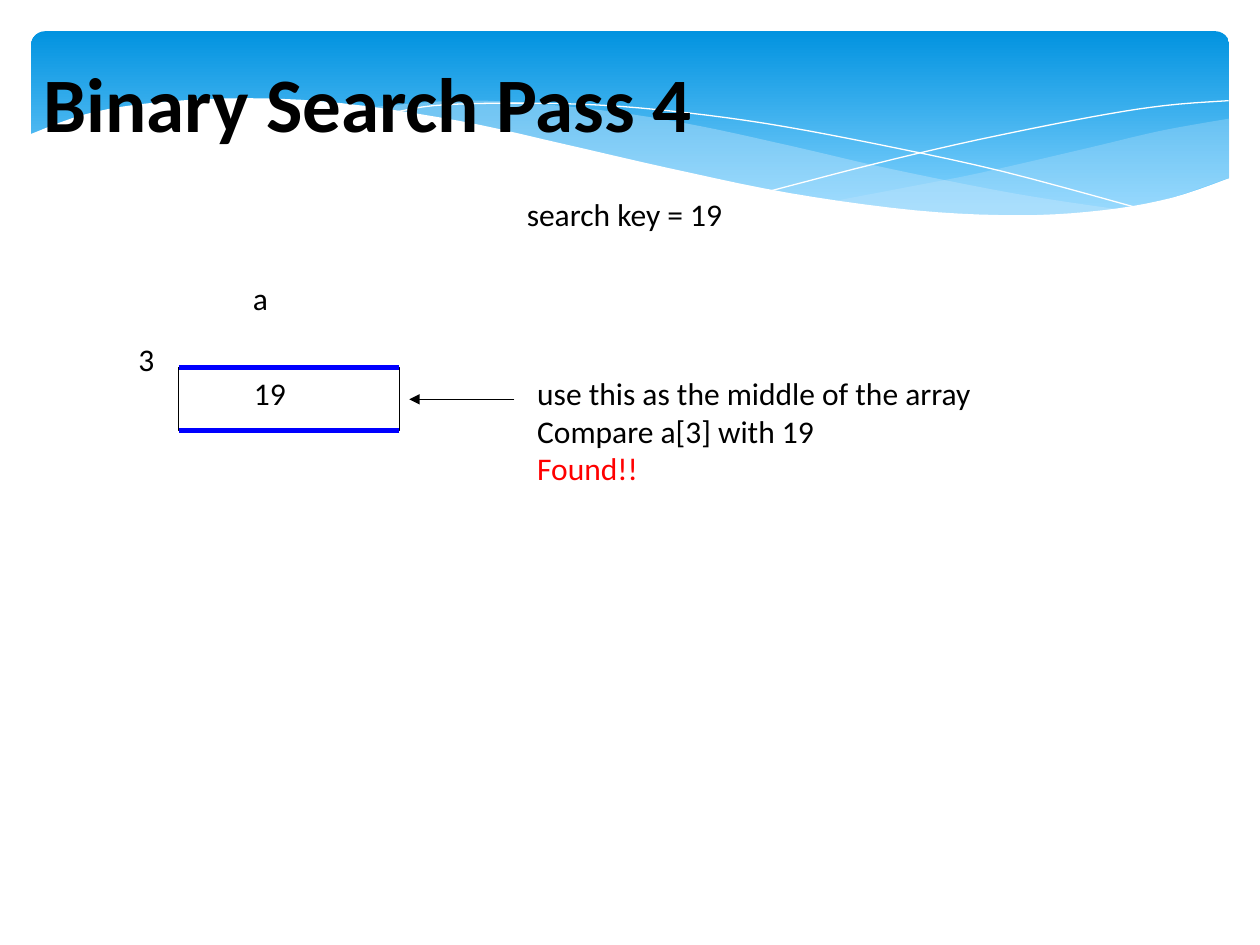
from lxml.etree import SubElement
from pptx import Presentation
from pptx.dml.color import RGBColor
from pptx.enum.shapes import MSO_CONNECTOR as CONN, MSO_SHAPE as SHAPE
from pptx.enum.text import MSO_ANCHOR as ANCHOR, PP_ALIGN as ALIGN
from pptx.oxml.ns import qn
from pptx.util import Cm, Pt

BLACK, WHITE, BLUE, RED, PALE = "000000", "FFFFFF", "0000FF", "FF0000", "C6E7FC"

RIGHT_BAND = [
    [(24.79, 2.39), (23.39, 2.64), (21.87, 3), (19.79, 3.48), (18.52, 3.73), (16.79, 4.06)],
    [(16.79, 4.06), (18.26, 4.24), (20.12, 4.37), (21.69, 4.32), (23.19, 4.11), (24.79, 3.58)],
]
MIDDLE_BAND = [
    [(22.68, 4.24), (20.5, 3.91), (17.93, 3.4), (15.98, 2.95), (14.1, 2.54),
     (12.42, 2.26), (10.67, 2.08), (9.17, 2.03), (7.26, 2.18)],
    [(7.26, 2.18), (8.69, 2.39), (10.26, 2.69), (12.47, 3.2), (14.38, 3.63),
     (16.51, 4.01), (18.69, 4.29), (20.5, 4.39), (21.77, 4.34), (22.68, 4.24)],
]
FALLING_LINE = [
    [(7.85, 2.29), (8.74, 2.13), (10.19, 2.08), (11.91, 2.11), (13.54, 2.24),
     (15.44, 2.49), (17.65, 2.9), (20.19, 3.45), (23.04, 4.22)],
]
RISING_LINE = [
    [(15.57, 3.84), (17.65, 3.3), (19.71, 2.82), (22, 2.36), (23.47, 2.13), (24.77, 2.03)],
]
WHITE_WAVE = [
    [(24.82, 3.58), (23.62, 3.99), (22.23, 4.24), (20.55, 4.34), (18.44, 4.24),
     (15.9, 3.89), (13.44, 3.38), (11.35, 2.9), (9.27, 2.44), (6.88, 2.08),
     (4.9, 1.98), (3.02, 2.08), (1.7, 2.31), (0.58, 2.72)],
    [(0.58, 5.69), (24.82, 5.69)],
]


def rgb(code):
    return RGBColor.from_string(code)


def smooth(knots, steps=5):
    """Return points along a Catmull-Rom curve through the knots."""
    if len(knots) < 3:
        return knots
    ends = [knots[0], *knots, knots[-1]]
    points = [knots[0]]
    for a, b, c, d in zip(ends, ends[1:], ends[2:], ends[3:]):
        for i in range(1, steps + 1):
            t = i / steps
            points.append(tuple(
                (2 * q + (r - p) * t + (2 * p - 5 * q + 4 * r - s) * t ** 2
                 + (3 * q - p - 3 * r + s) * t ** 3) / 2
                for p, q, r, s in zip(a, b, c, d)))
    return points


class Deck:
    def __init__(self, prs, font="Calibri", size=18):
        self.s = prs.slides.add_slide(prs.slide_layouts[6])
        self.font, self.size = font, size

    def paint(self, sp, fill=None, line=None, width=0.75):
        sp.shadow.inherit = False
        if fill:
            sp.fill.solid()
            sp.fill.fore_color.rgb = rgb(fill)
        else:
            sp.fill.background()
        if line:
            sp.line.color.rgb = rgb(line)
            sp.line.width = Pt(width)
        else:
            sp.line.fill.background()

    def box(self, kind, x, y, w, h, **style):
        sp = self.s.shapes.add_shape(kind, Cm(x), Cm(y), Cm(w), Cm(h))
        self.paint(sp, **style)
        return sp

    def banner(self, x, y, w, h, top, bottom):
        sp = self.box(SHAPE.ROUNDED_RECTANGLE, x, y, w, h)
        sp.adjustments[0] = 0.07
        sp.fill.gradient()
        sp.fill.gradient_angle = 270
        for stop, code, position in zip(sp.fill.gradient_stops, (top, bottom), (0, 0.9)):
            stop.color.rgb = rgb(code)
            stop.position = position

    def curve(self, parts, fill=None, alpha=100, **style):
        points = [(Cm(x), Cm(y)) for part in parts for x, y in smooth(part)]
        builder = self.s.shapes.build_freeform(*points[0])
        builder.add_line_segments(points[1:], close=bool(fill))
        sp = builder.convert_to_shape()
        self.paint(sp, fill, **style)
        if alpha < 100:
            color = sp._element.spPr.find(qn("a:solidFill"))[0]
            SubElement(color, qn("a:alpha"), val=str(alpha * 1000))

    def line(self, x1, y1, x2, y2, color, width, arrow=False):
        c = self.s.shapes.add_connector(CONN.STRAIGHT, Cm(x1), Cm(y1), Cm(x2), Cm(y2))
        c.line.color.rgb = rgb(color)
        c.line.width = Pt(width)
        if arrow:
            SubElement(c.line._get_or_add_ln(), qn("a:tailEnd"), type="triangle")
        SubElement(c._element.spPr, qn("a:effectLst"))

    def text(self, x, y, w, h, *lines, size=None, bold=False, wrap=False, anchor=ANCHOR.TOP):
        tf = self.s.shapes.add_textbox(Cm(x), Cm(y), Cm(w), Cm(h)).text_frame
        tf.word_wrap = wrap
        tf.vertical_anchor = anchor
        for i, (words, color) in enumerate(lines):
            p = tf.add_paragraph() if i else tf.paragraphs[0]
            p.text = words
            p.alignment = ALIGN.LEFT
            p.font.name, p.font.size = self.font, Pt(size or self.size)
            p.font.bold = bold
            p.font.color.rgb = rgb(color)


def main():
    prs = Presentation()
    prs.slide_width, prs.slide_height = Cm(25.4), Cm(19.05)
    deck = Deck(prs)

    deck.banner(0.63, 0.63, 24.15, 3.96, "0293E0", "83D3FE")
    deck.curve(RIGHT_BAND, PALE, alpha=29)
    deck.curve(MIDDLE_BAND, PALE, alpha=40)
    for wave in (FALLING_LINE, RISING_LINE):
        deck.curve(wave, line=WHITE, width=0)
    deck.curve(WHITE_WAVE, WHITE)
    deck.text(0.63, 0.84, 22.86, 2.41, ("Binary Search Pass 4", BLACK),
              size=44, bold=True, wrap=True, anchor=ANCHOR.MIDDLE)

    left, top, width, height = 3.6, 7.41, 4.45, 1.27
    deck.box(SHAPE.RECTANGLE, left, top, width, height, line=BLACK)
    for y in (top, top + height):
        deck.line(left, y, left + width, y, BLUE, 3)
    deck.line(10.37, 8.05, 8.25, 8.05, BLACK, 0.75, arrow=True)

    for x, y, w, label in ((2.54, 6.73, 0.94, "3"), (4.85, 5.5, 0.89, "a"),
                           (4.87, top, 1.35, "19"), (10.37, 3.81, 5.84, "search key = 19")):
        deck.text(x, y, w, height, (label, BLACK))
    deck.text(10.58, top, 12.12, 3.3, ("use this as the middle of the array", BLACK),
              ("Compare a[3] with 19", BLACK), ("Found!!", RED))
    prs.save("out.pptx")


if __name__ == "__main__":
    main()
